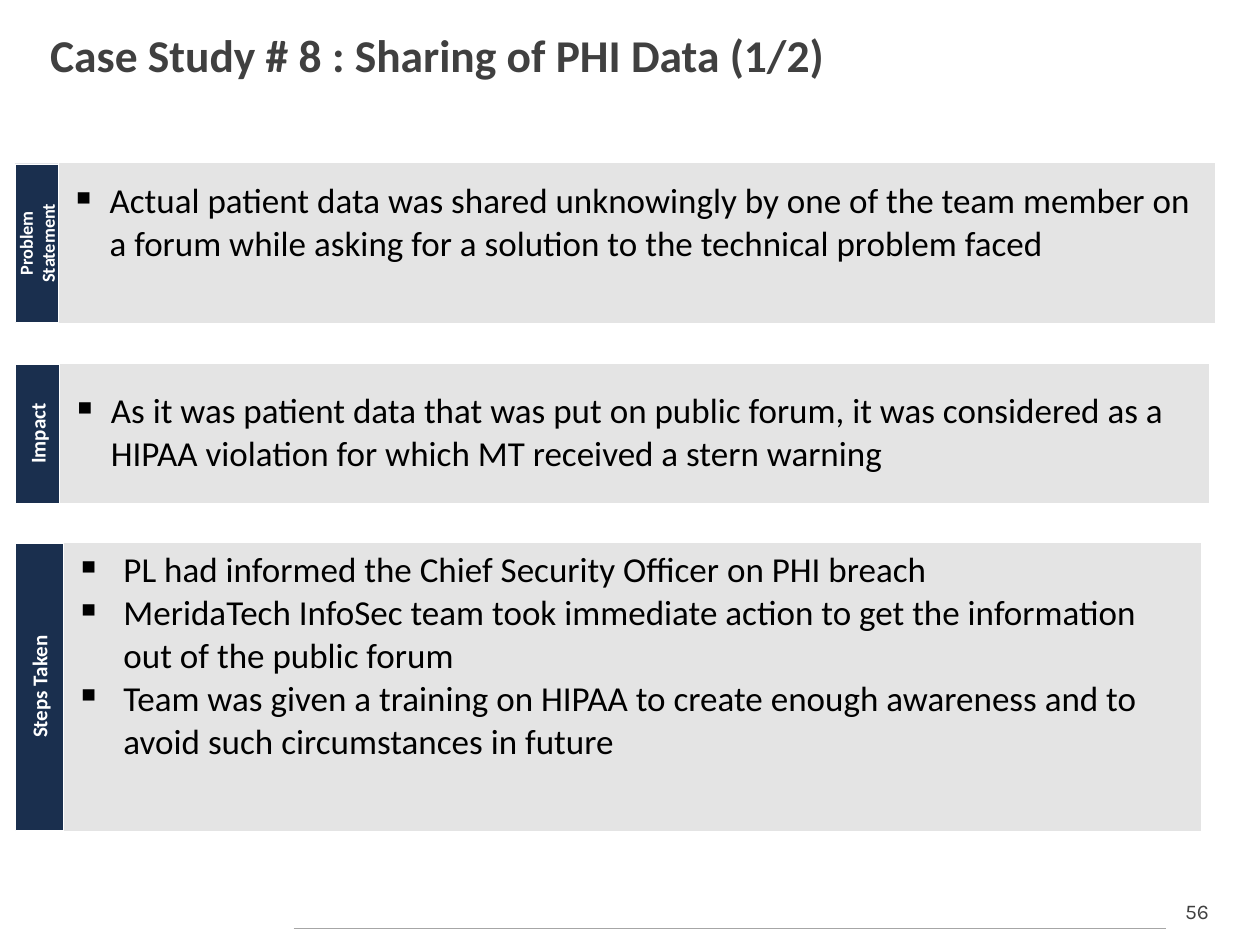
from dataclasses import dataclass

from lxml import etree
from pptx import Presentation
from pptx.dml.color import RGBColor
from pptx.enum.shapes import MSO_CONNECTOR, MSO_SHAPE
from pptx.enum.text import MSO_ANCHOR, PP_ALIGN
from pptx.oxml.ns import qn
from pptx.util import Inches, Pt

CENTER = PP_ALIGN.CENTER
MIDDLE = MSO_ANCHOR.MIDDLE
STRAIGHT = MSO_CONNECTOR.STRAIGHT
RECTANGLE = MSO_SHAPE.RECTANGLE

NAVY = RGBColor(0x1A, 0x2F, 0x4E)
PANEL_GRAY = RGBColor(0xE4, 0xE4, 0xE4)
RULE_GRAY = RGBColor(0xA6, 0xA6, 0xA6)
TEXT_GRAY = RGBColor(0x40, 0x40, 0x40)
BLACK = RGBColor(0, 0, 0)
WHITE = RGBColor(0xFF, 0xFF, 0xFF)

LABEL_LEFT = 0.12


@dataclass
class Section:
    label: str
    label_size: float
    label_width: float
    top: float
    width: float
    height: float
    indent: float
    bottom_margin: float
    points: list


SECTIONS = [
    Section("Problem Statement", 10.5, 0.34, 1.29, 9.19, 1.28, 0.31, 0.37, [
        "Actual patient data was shared unknowingly by one of the team member on "
        "a forum while asking for a solution to the technical problem faced",
    ]),
    Section("Impact", 12, 0.35, 2.88, 9.13, 1.12, 0.31, 0.05, [
        "As it was patient data that was put on public forum, it was considered "
        "as a HIPAA violation for which MT received a stern warning",
    ]),
    Section("Steps Taken", 12, 0.38, 4.3, 9.04, 2.3, 0.38, 0.53, [
        "PL had informed the Chief Security Officer on PHI breach",
        "MeridaTech InfoSec team took immediate action to get the information "
        "out of the public forum",
        "Team was given a training on HIPAA to create enough awareness and to "
        "avoid such circumstances in future",
    ]),
]


def set_font(paragraph, size, color, bold=False, name="Calibri"):
    font = paragraph.font
    font.name = name
    font.size = Pt(size)
    font.bold = bold
    font.color.rgb = color


def add_bullet(paragraph, indent):
    properties = paragraph._p.get_or_add_pPr()
    properties.set("marL", str(Inches(indent)))
    properties.set("indent", str(-Inches(indent)))
    bullet = etree.Element(qn("a:buChar"), char="▪")
    properties.insert_element_before(bullet, "a:tabLst", "a:defRPr", "a:extLst")


def set_borders(cell, color, width):
    properties = cell._tc.get_or_add_tcPr()
    for position, side in enumerate(("lnL", "lnR", "lnT", "lnB")):
        line = etree.Element(qn(f"a:{side}"), w=str(Pt(width)))
        fill = etree.SubElement(line, qn("a:solidFill"))
        etree.SubElement(fill, qn("a:srgbClr"), val=str(color))
        properties.insert(position, line)


def add_text(slide, text, left, top, width, height, size, bold=False,
             name="Calibri", alignment=None):
    box = slide.shapes.add_textbox(Inches(left), Inches(top),
                                   Inches(width), Inches(height))
    frame = box.text_frame
    frame.word_wrap = True
    frame.vertical_anchor = MIDDLE
    paragraph = frame.paragraphs[0]
    paragraph.text = text
    paragraph.alignment = alignment
    set_font(paragraph, size, TEXT_GRAY, bold, name)


def add_panel(slide, section, left):
    frame = slide.shapes.add_table(1, 1, Inches(left), Inches(section.top),
                                   Inches(section.width), Inches(section.height))
    table = frame.table
    table.first_row = False
    table.horz_banding = False
    cell = table.cell(0, 0)
    cell.fill.solid()
    cell.fill.fore_color.rgb = PANEL_GRAY
    set_borders(cell, WHITE, 1)
    cell.vertical_anchor = MIDDLE
    cell.margin_bottom = Inches(section.bottom_margin)
    cell.text = "\n".join(section.points)
    for paragraph in cell.text_frame.paragraphs:
        set_font(paragraph, 20, BLACK)
        add_bullet(paragraph, section.indent)


def add_label(slide, section):
    """Place a label that reads upwards along the left side of its panel."""
    length, thickness = section.height - 0.02, section.label_width
    center_x = LABEL_LEFT + thickness / 2
    center_y = section.top + section.height / 2
    shape = slide.shapes.add_shape(
        RECTANGLE, Inches(center_x - length / 2), Inches(center_y - thickness / 2),
        Inches(length), Inches(thickness))
    shape.rotation = 270
    shape.shadow.inherit = False
    shape.fill.solid()
    shape.fill.fore_color.rgb = NAVY
    shape.line.color.rgb = WHITE
    shape.line.width = Pt(0.25)
    frame = shape.text_frame
    frame.word_wrap = True
    frame.vertical_anchor = MIDDLE
    paragraph = frame.paragraphs[0]
    paragraph.text = section.label
    paragraph.alignment = CENTER
    set_font(paragraph, section.label_size, WHITE, bold=True)


def add_section(slide, section):
    add_panel(slide, section, LABEL_LEFT + section.label_width)
    add_label(slide, section)


def add_footer(slide, left, right, top):
    add_text(slide, "56", right, top - 0.29, 0.5, 0.3, 12,
             name="Karla", alignment=CENTER)
    rule = slide.shapes.add_connector(STRAIGHT, Inches(left), Inches(top),
                                      Inches(right), Inches(top))
    rule.line.color.rgb = RULE_GRAY
    rule.line.width = Pt(0.75)
    etree.SubElement(rule._element.spPr, qn("a:effectLst"))


def main():
    presentation = Presentation()
    presentation.slide_width = Inches(10)
    presentation.slide_height = Inches(7.5)
    slide = presentation.slides.add_slide(presentation.slide_layouts[6])
    add_footer(slide, 2.33, 9.25, 7.37)
    add_text(slide, "Case Study # 8 : Sharing of PHI Data (1/2)",
             0.3, 0.12, 9.36, 0.63, 26, bold=True)
    for section in SECTIONS:
        add_section(slide, section)
    presentation.save("out.pptx")


if __name__ == "__main__":
    main()
